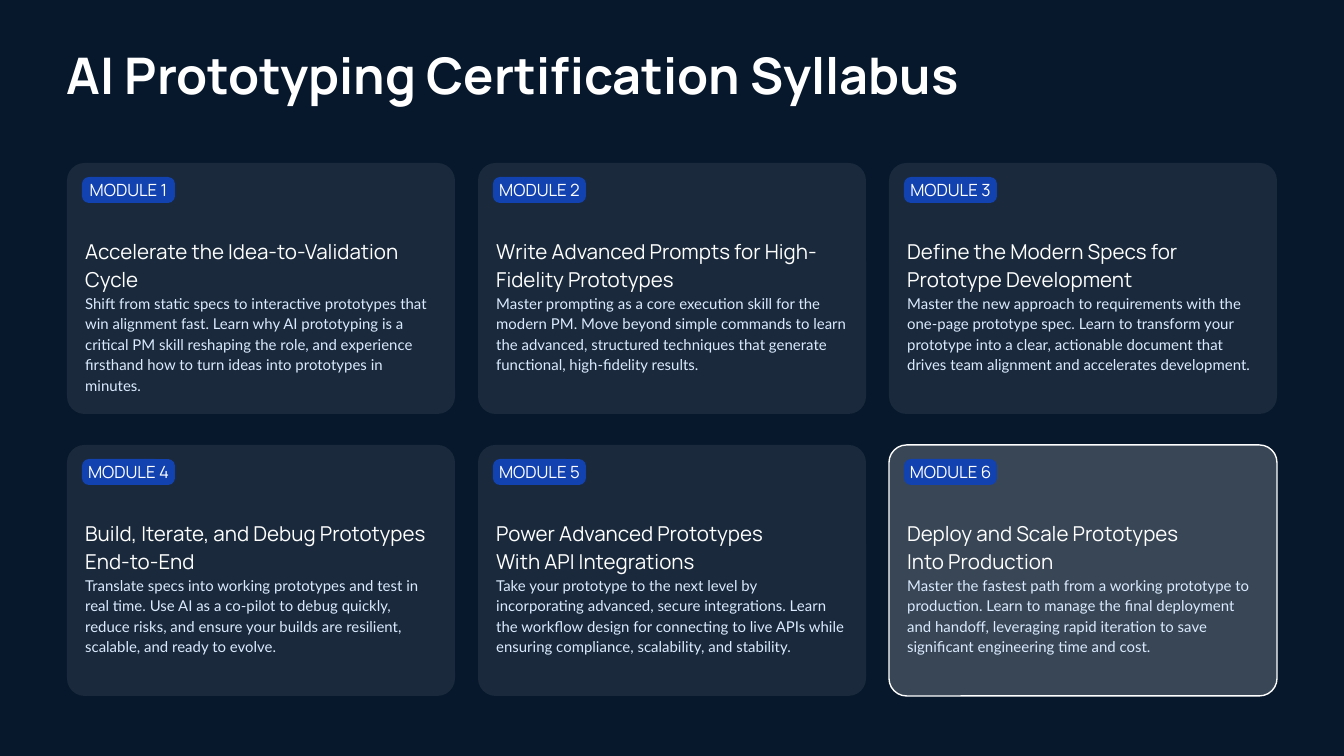
from copy import deepcopy

from lxml import etree
from pptx import Presentation
from pptx.dml.color import RGBColor
from pptx.enum.shapes import MSO_SHAPE
from pptx.enum.text import MSO_ANCHOR, MSO_AUTO_SIZE, PP_ALIGN
from pptx.oxml.ns import qn
from pptx.util import Pt

ROUNDED = MSO_SHAPE.ROUNDED_RECTANGLE
TOP, MIDDLE = MSO_ANCHOR.TOP, MSO_ANCHOR.MIDDLE
LEFT, CENTER = PP_ALIGN.LEFT, PP_ALIGN.CENTER
EMU_PER_PX = 9144000 / 1344

NAVY, BLUE, WHITE, PALE_BLUE = "07182C", "1241B0", "FFFFFF", "DBEAFE"


def paint(color_format, color, alpha=None):
    """Set a hex colour, with an optional opacity in percent."""
    if alpha is None:
        color_format.rgb = RGBColor.from_string(color)
        return
    color_format.fore_color.rgb = RGBColor.from_string(color)
    srgb = color_format._xPr.find(".//" + qn("a:srgbClr"))
    etree.SubElement(srgb, qn("a:alpha")).set("val", str(alpha * 1000))


def write(paragraph, text, *, size, font="Manrope", color=WHITE, bold=False,
          align=LEFT, spacing=1.0):
    paragraph.text = text
    paragraph.alignment = align
    paragraph.line_spacing = spacing
    paragraph.space_before = Pt(0)
    for run in paragraph.runs:
        run.font.name = font
        run.font.size = Pt(size)
        run.font.bold = bold
        paint(run.font.color, color)
    # Line breaks take the format of the run before them
    for line_break in paragraph._p.findall(qn("a:br")):
        line_break.append(deepcopy(paragraph.runs[0]._r.rPr))


MODULES = [
    ("Accelerate the Idea-to-Validation Cycle",
     "Shift from static specs to interactive prototypes that win alignment fast. "
     "Learn why AI prototyping is a critical PM skill reshaping the role, and "
     "experience firsthand how to turn ideas into prototypes in minutes."),
    ("Write Advanced Prompts for High-Fidelity Prototypes",
     "Master prompting as a core execution skill for the modern PM. Move beyond "
     "simple commands to learn the advanced, structured techniques that generate "
     "functional, high-fidelity results."),
    ("Define the Modern Specs for Prototype Development",
     "Master the new approach to requirements with the one-page prototype spec. "
     "Learn to transform your prototype into a clear, actionable document that "
     "drives team alignment and accelerates development."),
    ("Build, Iterate, and Debug Prototypes End-to-End",
     "Translate specs into working prototypes and test in real time. Use AI as a "
     "co-pilot to debug quickly, reduce risks, and ensure your builds are "
     "resilient, scalable, and ready to evolve."),
    ("Power Advanced Prototypes \vWith API Integrations",
     "Take your prototype to the next level by incorporating advanced, secure "
     "integrations. Learn the workflow design for connecting to live APIs while "
     "ensuring compliance, scalability, and stability."),
    ("Deploy and Scale Prototypes \vInto Production",
     "Master the fastest path from a working prototype to production. Learn to "
     "manage the final deployment and handoff, leveraging rapid iteration to save "
     "significant engineering time and cost."),
]

prs = Presentation()
prs.slide_width, prs.slide_height = [round(v * EMU_PER_PX) for v in (1344, 756)]
slide = prs.slides.add_slide(prs.slide_layouts[5])
slide.background.fill.solid()
paint(slide.background.fill.fore_color, NAVY)

# Title
title = slide.shapes.title
title.left, title.top, title.width, title.height = [
    round(v * EMU_PER_PX) for v in (67, 60, 1210, 39)]
frame = title.text_frame
frame.margin_left = frame.margin_top = frame.margin_right = frame.margin_bottom = 0
frame.vertical_anchor = MIDDLE
frame.word_wrap = True
frame.auto_size = MSO_AUTO_SIZE.NONE
write(frame.paragraphs[0], "AI Prototyping Certification Syllabus",
      size=27, bold=True, spacing=0.8)

# Module cards in a grid of three columns, the last one highlighted
for index, (heading, summary) in enumerate(MODULES):
    row, column = divmod(index, 3)
    left, top = 67 + 411 * column, 163 + 282 * row
    highlighted = index == len(MODULES) - 1

    # Card and module tag: box, corner, margins (left, top, right, bottom), anchor
    card, tag = [], []
    for part, box, corner, margins, anchor in (
        (card, (left, top, 388, 251), 0.07, (13, 67, 13, 13), TOP),
        (tag, (left + 15, top + 14, 93, 26), 0.27, (0, 0, 0, 0), MIDDLE),
    ):
        shape = slide.shapes.add_shape(ROUNDED, *[round(v * EMU_PER_PX) for v in box])
        shape.adjustments[0] = corner
        shape.shadow.inherit = False
        shape.fill.solid()
        shape.line.fill.background()
        frame = shape.text_frame
        (frame.margin_left, frame.margin_top, frame.margin_right,
         frame.margin_bottom) = [round(v * EMU_PER_PX) for v in margins]
        frame.vertical_anchor = anchor
        frame.word_wrap = True
        part.append(shape)
    card, tag = card[0], tag[0]

    paint(card.fill, WHITE, alpha=20 if highlighted else 8)
    if highlighted:
        paint(card.line.color, WHITE)
        card.line.width = Pt(0.75)
    write(card.text_frame.paragraphs[0], heading, size=11, spacing=1.15)
    write(card.text_frame.add_paragraph(), summary, size=8, font="Lato",
          color=PALE_BLUE, spacing=1.15)

    paint(tag.fill.fore_color, BLUE)
    write(tag.text_frame.paragraphs[0], f"MODULE {index + 1}", size=9, align=CENTER)

prs.save("out.pptx")
